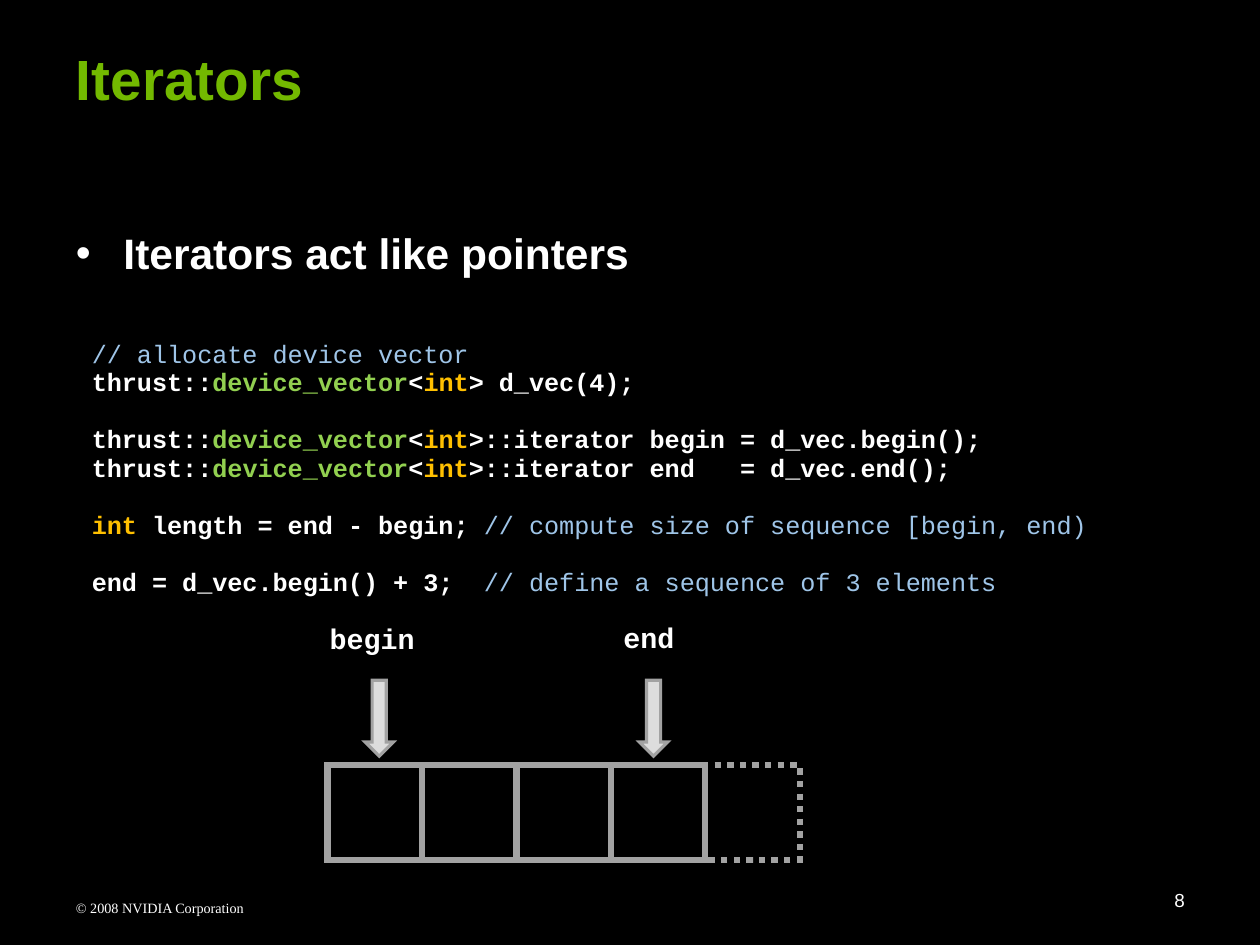
from lxml import etree
from pptx import Presentation
from pptx.dml.color import RGBColor
from pptx.enum.dml import MSO_LINE
from pptx.enum.shapes import MSO_SHAPE
from pptx.enum.text import MSO_ANCHOR, PP_ALIGN
from pptx.oxml.ns import qn
from pptx.util import Inches, Pt

RECTANGLE = MSO_SHAPE.RECTANGLE
DOWN_ARROW = MSO_SHAPE.DOWN_ARROW
DOTTED = MSO_LINE.ROUND_DOT
TOP, MIDDLE = MSO_ANCHOR.TOP, MSO_ANCHOR.MIDDLE
LEFT, RIGHT = PP_ALIGN.LEFT, PP_ALIGN.RIGHT

THEME = {
    "sans": "Arial", "mono": "Courier New", "serif": "Times New Roman",
    "title_size": 36, "bullet_size": 27, "label_size": 18,
    "code_size": 16, "number_size": 12, "footer_size": 9,
    "background": "000000", "text": "FFFFFF", "title": "73B900",
    "comment": "9FC5E8", "type": "92D050", "keyword": "FFC000",
    "outline": "A2A2A2", "arrow": "DDDDDD",
}


def add_text(box, text, font, size, shade="text", bold=False, inset=(0.1, 0.05),
             wrap=True, anchor=TOP, align=LEFT, bullet_indent=0):
    shape = slide.shapes.add_textbox(*[Inches(length) for length in box])
    frame = shape.text_frame
    frame.word_wrap = wrap
    frame.vertical_anchor = anchor
    frame.margin_left = frame.margin_right = Inches(inset[0])
    frame.margin_top = frame.margin_bottom = Inches(inset[1])
    paragraph = frame.paragraphs[0]
    paragraph.text = text
    paragraph.alignment = align
    if bullet_indent:
        properties = paragraph._p.get_or_add_pPr()
        properties.set("marL", str(Inches(bullet_indent)))
        properties.set("indent", str(-Inches(bullet_indent)))
        bullet_color = etree.SubElement(properties, qn("a:buClr"))
        etree.SubElement(bullet_color, qn("a:srgbClr"), val=THEME[shade])
        etree.SubElement(properties, qn("a:buFont"), typeface=THEME[font])
        etree.SubElement(properties, qn("a:buChar"), char="•")
    paragraph.font.name = THEME[font]
    paragraph.font.size = Pt(THEME[size])
    paragraph.font.bold = bold
    paragraph.font.color.rgb = RGBColor.from_string(THEME[shade])
    return frame


def add_outlined(preset, box, line_width):
    shape = slide.shapes.add_shape(preset, *[Inches(length) for length in box])
    shape.shadow.inherit = False
    shape.fill.background()
    shape.line.color.rgb = RGBColor.from_string(THEME["outline"])
    shape.line.width = Pt(line_width)
    return shape


presentation = Presentation()
presentation.slide_width = Inches(11.1146)
presentation.slide_height = Inches(8.3351)
slide = presentation.slides.add_slide(presentation.slide_layouts[6])
slide.background.fill.solid()
slide.background.fill.fore_color.rgb = RGBColor.from_string(THEME["background"])

body_inset = (0.11, 0.06)
add_text((0.56, 7.87, 2.5, 0.26), "© 2008 NVIDIA Corporation", "serif", "footer_size",
         inset=body_inset)
add_text((0.56, 1.94, 10, 5.74), "Iterators act like pointers", "sans", "bullet_size",
         bold=True, inset=body_inset, bullet_indent=0.42)
add_text((0.56, 0.33, 8.98, 0.72), "Iterators", "sans", "title_size", "title", True, body_inset)
add_text((7.96, 7.72, 2.59, 0.44), "8", "sans", "number_size", anchor=MIDDLE, align=RIGHT)

vector_type = [("thrust::", "text"), ("device_vector", "type"), ("<", "text"), ("int", "keyword")]
code_blocks = [
    [
        [("// allocate device vector", "comment")],
        vector_type + [("> d_vec(4);", "text")],
    ],
    [
        vector_type + [(">::iterator begin = d_vec.begin();", "text")],
        vector_type + [(">::iterator end   = d_vec.end();", "text")],
    ],
    [[("int", "keyword"), (" length = end - begin; ", "text"),
      ("// compute size of sequence [begin, end)", "comment")]],
    [[("end = d_vec.begin() + 3;  ", "text"),
      ("// define a sequence of 3 elements", "comment")]],
]
code_frame = add_text((0.81, 3, 9.33, 2.28), "", "mono", "code_size", inset=(0, 0))
for block_index, block in enumerate(code_blocks):
    for line_index, line in enumerate(block):
        first = block_index == line_index == 0
        paragraph = code_frame.paragraphs[0] if first else code_frame.add_paragraph()
        paragraph.line_spacing = 0.95
        if block_index and line_index == 0:
            paragraph.space_before = Pt(18)
        paragraph.font.name = THEME["mono"]
        paragraph.font.size = Pt(THEME["code_size"])
        for text, shade in line:
            run = paragraph.add_run()
            run.text = text
            run.font.bold = shade != "comment"
            run.font.color.rgb = RGBColor.from_string(THEME[shade])

cell_size = 0.833
cell_count = 5
for index in range(cell_count):
    cell = add_outlined(RECTANGLE, (2.89 + index * cell_size, 6.75, cell_size, cell_size), 4)
    if index == cell_count - 1:
        cell.line.dash_style = DOTTED
    etree.SubElement(cell.line._get_or_add_ln(), qn("a:miter"), lim="800000")

pointers = [("begin", 3.22, (2.81, 5.43, 0.95, 0.4)), ("end", 5.64, (5.4, 5.42, 0.65, 0.4))]
for name, arrow_left, label_box in pointers:
    arrow = add_outlined(DOWN_ARROW, (arrow_left, 6, 0.25, 0.67), 2)
    arrow.fill.solid()
    arrow.fill.fore_color.rgb = RGBColor.from_string(THEME["arrow"])
    etree.SubElement(arrow.line._get_or_add_ln(), qn("a:miter"), lim="800000")
    add_text(label_box, name, "mono", "label_size", bold=True, wrap=False)

presentation.save("out.pptx")
